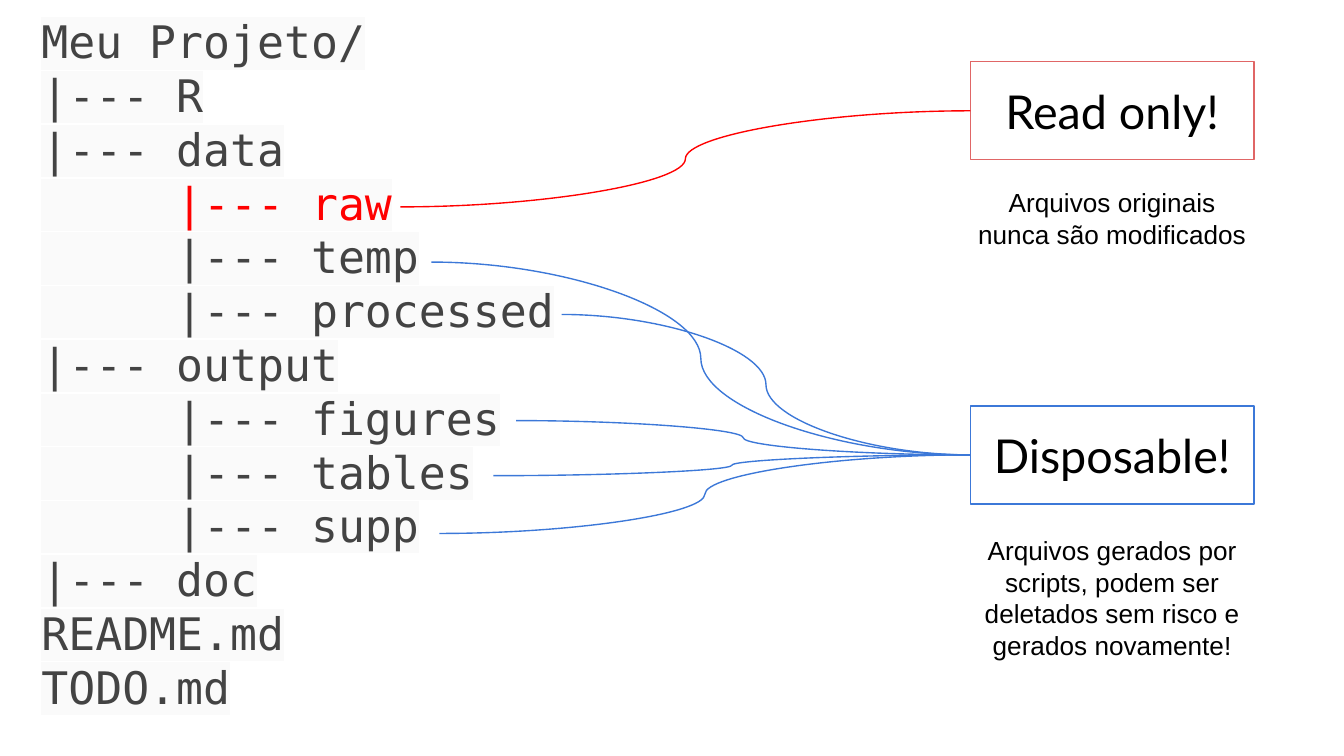
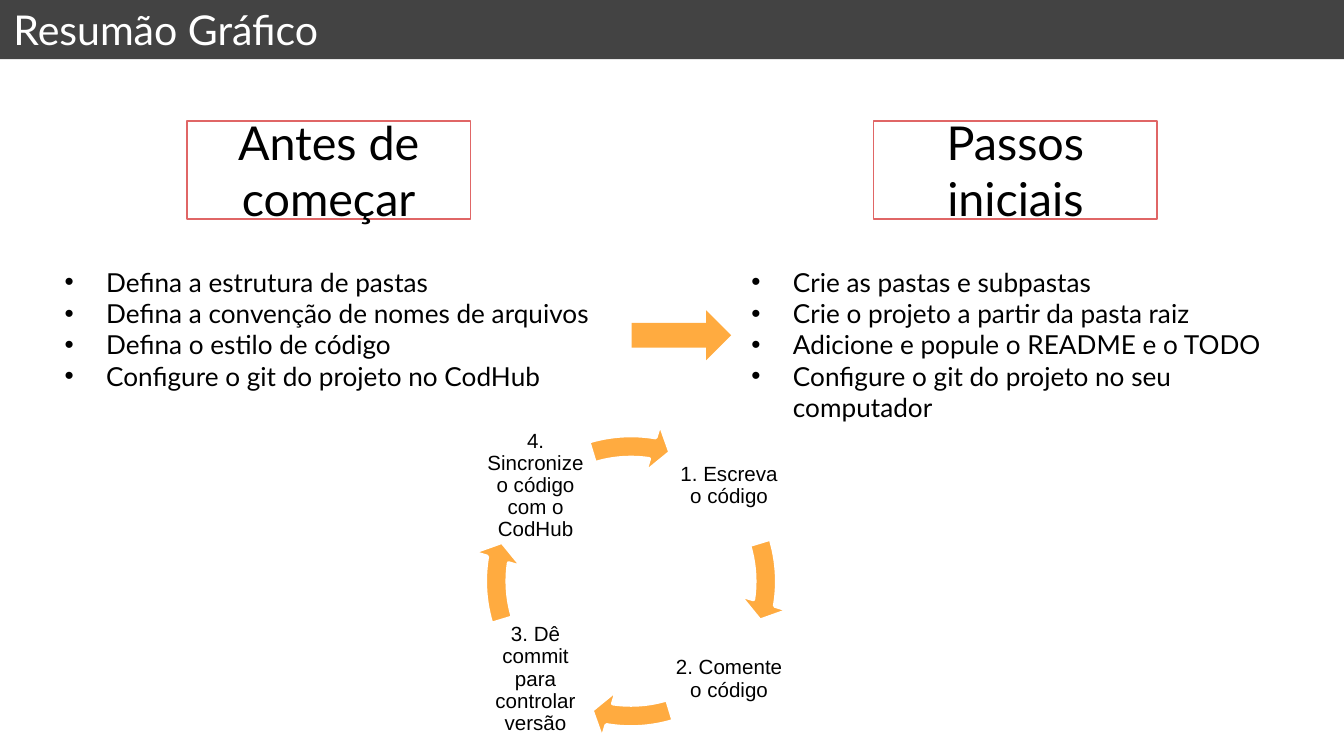
from lxml import etree
from pptx import Presentation
from pptx import util as u
from pptx.dml.color import RGBColor
from pptx.enum import shapes, text
from pptx.oxml.ns import qn

W = 10
H = W * 9 / 16
GREY = RGBColor(0x43, 0x43, 0x43)
BLACK = RGBColor(0, 0, 0)
WHITE = RGBColor(0xFF, 0xFF, 0xFF)
RED = RGBColor(0xFF, 0, 0)
ROSE = RGBColor(0xE0, 0x66, 0x66)
BLUE = RGBColor(0x3C, 0x78, 0xD8)
ORANGE = RGBColor(0xFF, 0xAB, 0x40)
MONO, SANS, LATO = "DejaVu Sans Mono", "Arial", "Lato"
TAG_W, TAG_H = 2.11, 0.73

# Content: folder tree, as (line, curve start, tag it leads to)
TREE = [
    ("Meu Projeto/", None, None),
    ("|--- R", None, None),
    ("|--- data", None, None),
    ("     |--- raw", (2.98, 1.54), "Read only!"),
    ("     |--- temp", (3.21, 1.95), "Disposable!"),
    ("     |--- processed", (4.18, 2.34), "Disposable!"),
    ("|--- output", None, None),
    ("     |--- figures", (3.84, 3.13), "Disposable!"),
    ("     |--- tables", (3.67, 3.54), "Disposable!"),
    ("     |--- supp", (3.27, 3.97), "Disposable!"),
    ("|--- doc", None, None),
    ("README.md", None, None),
    ("TODO.md", None, None),
]
# Tag, top, outline, curve colour, note top, note
RULES = [
    ("Read only!", 0.46, ROSE, RED, 1.29,
     "Arquivos originais nunca são modificados"),
    ("Disposable!", 3.02, BLUE, BLUE, 3.88,
     "Arquivos gerados por scripts, podem ser deletados sem risco e "
     "gerados novamente!"),
]
# Heading, list left, list width, items
STAGES = [
    ("Antes de começar", 0.38, 4.13,
     ["Defina a estrutura de pastas",
      "Defina a convenção de nomes de arquivos",
      "Defina o estilo de código",
      "Configure o git do projeto no CodHub"]),
    ("Passos iniciais", 5.49, 4.35,
     ["Crie as pastas e subpastas",
      "Crie o projeto a partir da pasta raiz",
      "Adicione e popule o README e o TODO",
      "Configure o git do projeto no seu computador"]),
]
# Clockwise from the top right, as (text, column, row)
CYCLE = [
    ("1. Escreva o código", 1, 0),
    ("2. Comente o código", 1, 1),
    ("3. Dê commit para controlar versão", 0, 1),
    ("4. Sincronize o código com o CodHub", 0, 0),
]


def inches(*lengths):
    return [u.Inches(v) for v in lengths]


def write(s, lines, size, font=LATO, color=BLACK, align="LEFT", anchor="MIDDLE",
          inset=(0.1, 0.1), spacing=None, bullet=False, highlight=None):
    """Fill a shape with lines; a line is text or a (text, colour) pair."""
    tf = s.text_frame
    tf.word_wrap = True
    tf.auto_size = text.MSO_AUTO_SIZE.NONE
    tf.vertical_anchor = text.MSO_ANCHOR[anchor]
    tf.margin_left = tf.margin_right = u.Inches(inset[0])
    tf.margin_top = tf.margin_bottom = u.Inches(inset[1])
    for i, line in enumerate(lines):
        words, ink = (line, color) if isinstance(line, str) else line
        p = tf.paragraphs[0] if i == 0 else tf.add_paragraph()
        p.alignment = text.PP_ALIGN[align]
        p.space_before = u.Pt(0)
        if spacing:
            p.line_spacing = spacing
        if bullet:
            pPr = p._p.get_or_add_pPr()
            pPr.set("marL", str(u.Inches(0.31)))
            pPr.set("indent", str(u.Inches(-0.31)))
            etree.SubElement(pPr, qn("a:buFont")).set("typeface", SANS)
            etree.SubElement(pPr, qn("a:buChar")).set("char", "•")
        r = p.add_run()
        r.text = words
        r.font.size, r.font.name = u.Pt(size), font
        r.font.color.rgb = ink
        if highlight:
            mark = etree.Element(qn("a:highlight"))
            etree.SubElement(mark, qn("a:srgbClr")).set("val", highlight)
            r._r.rPr.find(qn("a:solidFill")).addnext(mark)
    return s


def shape(parent, kind, box, fill=None, line=None, width=0.75):
    s = parent.add_shape(shapes.MSO_SHAPE[kind], *inches(*box))
    s.shadow.inherit = False
    if fill is None:
        s.fill.background()
    else:
        s.fill.solid()
        s.fill.fore_color.rgb = fill
    if line is None:
        s.line.fill.background()
    else:
        s.line.color.rgb, s.line.width = line, u.Pt(width)
    return s


def tag(slide, words, left, top, line):
    s = shape(slide.shapes, "RECTANGLE", (left, top, TAG_W, TAG_H), line=line)
    return write(s, [words], 25, align="CENTER")


def place(s, *box):
    s.left, s.top, s.width, s.height = inches(*box)


def curve(slide, start, target, color):
    c = slide.shapes.add_connector(shapes.MSO_CONNECTOR.CURVE,
                                   *inches(*start), *inches(*start))
    c.end_connect(target, 1)
    c.line.color.rgb, c.line.width = color, u.Pt(0.75)
    etree.SubElement(c._element.spPr, qn("a:effectLst"))


def folder_slide(prs):
    slide = prs.slides.add_slide(prs.slide_layouts[6])
    curve_color = {rule[0]: rule[3] for rule in RULES}

    # Folder tree, with the read-only line in red
    tree = slide.shapes.add_textbox(*inches(0.21, 0.26, 5.64, 4.89))
    lines = [(line, RED if curve_color.get(name) == RED else GREY)
             for line, _, name in TREE]
    write(tree, lines, 24, MONO, highlight="FAFAFA")

    # Tags with their notes
    tags = {}
    for name, top, outline, _, note_top, note in RULES:
        tags[name] = tag(slide, name, 7.22, top, outline)
        box = slide.shapes.add_textbox(*inches(7.15, note_top, 2.25, TAG_H))
        write(box, [note], 14, SANS, align="CENTER", anchor="TOP")

    # Curves from folders to tags
    for _, start, name in TREE:
        if name:
            curve(slide, start, tags[name], curve_color[name])


def summary_slide(prs):
    slide = prs.slides.add_slide(prs.slide_layouts[3])
    title, *bodies = slide.placeholders

    # Title band
    place(title, 0, 0, W, 0.44)
    title.fill.solid()
    title.fill.fore_color.rgb = GREY
    write(title, ["Resumão Gráfico"], 22, color=WHITE)

    # Two stages and the arrow between them
    for body, (heading, left, width, items) in zip(bodies, STAGES):
        tag(slide, heading, left + 1.01, 0.9, ROSE)
        place(body, left, 1.93, width, 1.04)
        write(body, items, 14, anchor="TOP", inset=(0.1, 0.05), bullet=True)
    shape(slide.shapes, "RIGHT_ARROW", (4.7, 2.31, 0.74, 0.37), ORANGE)

    # Work cycle: each arrow is turned a quarter from the one before
    cycle = slide.shapes.add_group_shape().shapes
    for i, (step, col, row) in enumerate(CYCLE):
        box = cycle.add_textbox(
            *inches(3.56 + 1.44 * col, 3.19 + 1.44 * row, 0.85, 0.85))
        write(box, [step], 11, SANS, align="CENTER", inset=(0.02, 0.02),
              spacing=0.9)
        arrow = shape(cycle, "CIRCULAR_ARROW", (3.5, 3.13, 2.39, 2.39),
                      ORANGE, WHITE, 2)
        # Angles are 60000ths of a degree, adjustments 100000ths
        head, end, start = (0.6 * d for d in (
            7.76, 9.15 + 90 * i, (343.09 + 90 * i) % 360))
        for k, value in enumerate((6.9 / 100, head, end, start, 8.05 / 100)):
            arrow.adjustments[k] = value


def main():
    prs = Presentation()
    prs.slide_width, prs.slide_height = inches(W, H)
    folder_slide(prs)
    summary_slide(prs)
    prs.save("out.pptx")


if __name__ == "__main__":
    main()
